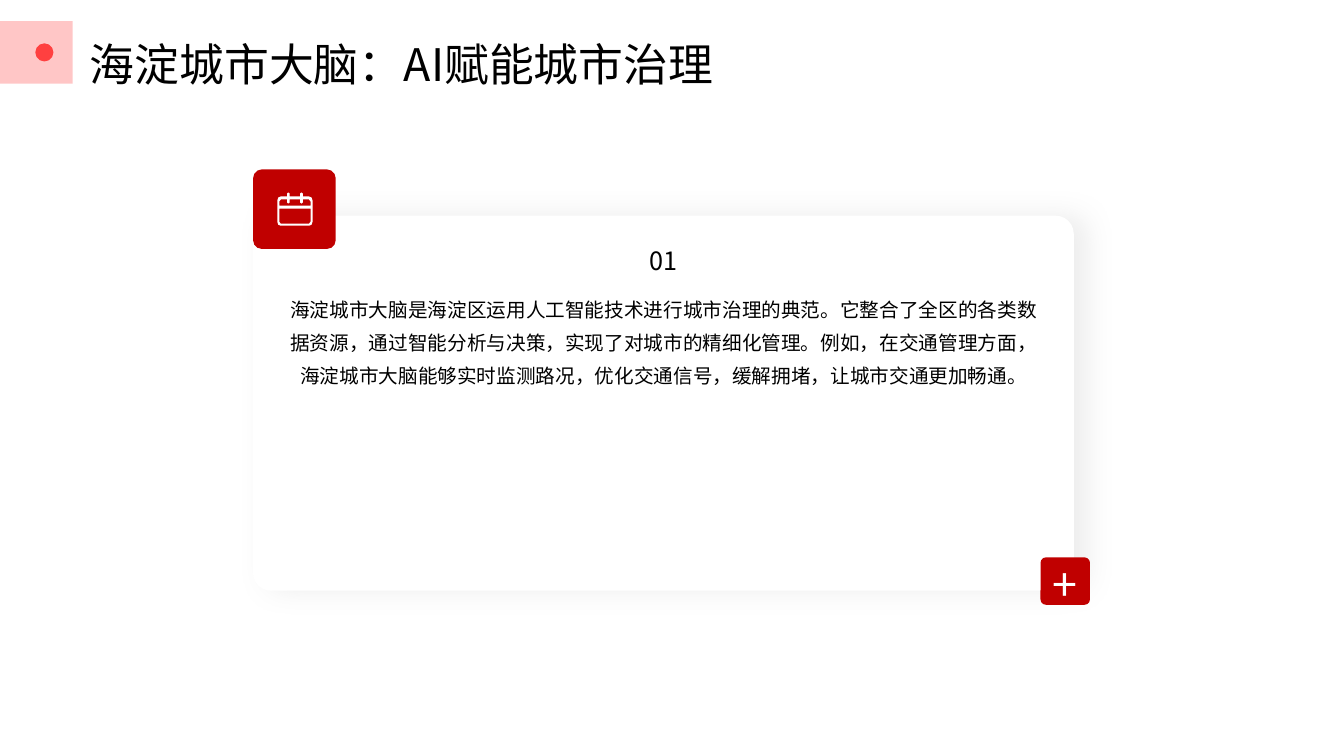
"""Build a slide about the Haidian city brain with one shadowed card."""
from dataclasses import dataclass
from typing import Optional

from lxml import etree
from pptx import Presentation
from pptx import util as u
from pptx.dml.color import RGBColor
from pptx.enum import shapes, text
from pptx.oxml import ns

FONT = "Noto Sans CJK SC"
COLORS = {
    "white": "FFFFFF",
    "black": "000000",
    "red": "C00000",
    "pink": "FFB3B3",
    "dot": "FF4040",
    "shadow": "A6A6A6",
}
CALENDAR_CENTER = 2.925 * 100
CALENDAR_RIGHT_HALVES = [
    [(5.2, 195), (5.2, 192), (6.5, 191), (7.8, 192), (7.8, 195), (14, 195),
     (16.5, 196), (17.5, 199), (17.5, 220), (16.5, 223), (14, 224)],
    [(5.2, 198), (5.2, 201), (6.5, 202), (7.8, 201), (7.8, 198), (14, 198),
     (15.5, 200), (15.5, 204)],
    [(15.5, 207), (15.5, 220), (14, 222)],
]


@dataclass
class Box:
    left: float
    top: float
    width: float
    height: float

    def lengths(self) -> list:
        return [u.Inches(v) for v in (self.left, self.top, self.width, self.height)]


@dataclass
class Block:
    kind: shapes.MSO_SHAPE
    box: Box
    color: str
    radius: Optional[float] = None
    opacity: int = 100


@dataclass
class Label:
    box: Box
    words: str
    size: int
    spacing: float
    align: text.PP_ALIGN = text.PP_ALIGN.CENTER
    anchor: text.MSO_ANCHOR = text.MSO_ANCHOR.MIDDLE


ROUNDED = shapes.MSO_SHAPE.ROUNDED_RECTANGLE
CARD = Block(ROUNDED, Box(2.51, 2.14, 8.14, 3.72), "white", 0.048)
ICON_TILE = Block(ROUNDED, Box(2.51, 1.68, 0.82, 0.79), "red", 0.113)
PLUS_TILE = Block(ROUNDED, Box(10.32, 5.53, 0.49, 0.47), "red", 0.113)
TITLE_MARKS = [
    Block(shapes.MSO_SHAPE.RECTANGLE, Box(0, 0.21, 0.72, 0.62), "pink", opacity=75),
    Block(shapes.MSO_SHAPE.OVAL, Box(0.35, 0.43, 0.18, 0.18), "dot"),
]
LABELS = [
    Label(Box(2.83, 2.86, 7.51, 2.57),
          "海淀城市大脑是海淀区运用人工智能技术进行城市治理的典范。它整合了全区的各类数据资源，"
          "通过智能分析与决策，实现了对城市的精细化管理。例如，在交通管理方面，"
          "海淀城市大脑能够实时监测路况，优化交通信号，缓解拥堵，让城市交通更加畅通。",
          14, 1.4, anchor=text.MSO_ANCHOR.TOP),
    Label(Box(2.83, 2.3, 7.51, 0.54), "01", 18, 1.1),
    Label(Box(0.89, 0.26, 8.51, 0.47), "海淀城市大脑：AI赋能城市治理", 32, 1.5,
          align=text.PP_ALIGN.LEFT),
]


def paint(shape, color: str) -> None:
    shape.shadow.inherit = False
    shape.fill.solid()
    shape.fill.fore_color.rgb = RGBColor.from_string(COLORS[color])
    shape.line.fill.background()


def set_alpha(color_element, percent: int) -> None:
    etree.SubElement(color_element, ns.qn("a:alpha"), val=str(percent * 1000))


def add_block(slide, block: Block):
    shape = slide.shapes.add_shape(block.kind, *block.box.lengths())
    paint(shape, block.color)
    if block.radius is not None:
        shape.adjustments[0] = block.radius
    if block.opacity < 100:
        set_alpha(shape.fill._xPr.find(".//" + ns.qn("a:srgbClr")), block.opacity)
    return shape


def cast_shadow(shape) -> None:
    effects = shape._element.spPr.find(ns.qn("a:effectLst"))
    shadow = etree.SubElement(
        effects, ns.qn("a:outerShdw"), blurRad=str(u.Pt(20)), dist=str(u.Pt(10)),
        dir="0", algn="ctr", rotWithShape="0")
    color = etree.SubElement(shadow, ns.qn("a:srgbClr"), val=COLORS["shadow"])
    set_alpha(color, 20)


def write(frame, words: str, size: int, spacing: float, color: str,
          align: text.PP_ALIGN) -> None:
    paragraph = frame.paragraphs[0]
    paragraph.alignment = align
    paragraph.line_spacing = spacing
    run = paragraph.add_run()
    run.text = words
    run.font.size = u.Pt(size)
    run.font.name = FONT
    run.font.color.rgb = RGBColor.from_string(COLORS[color])
    properties = run.font._element
    etree.SubElement(properties, ns.qn("a:ea"), typeface=FONT)


def add_label(slide, label: Label) -> None:
    frame = slide.shapes.add_textbox(*label.box.lengths()).text_frame
    frame.word_wrap = True
    frame.vertical_anchor = label.anchor
    frame.margin_left = frame.margin_right = 0
    frame.margin_top = frame.margin_bottom = 0
    write(frame, label.words, label.size, label.spacing, "black", label.align)


def add_calendar(slide) -> None:
    builder = None
    for half in CALENDAR_RIGHT_HALVES:
        outline = half + [(-x, y) for x, y in reversed(half)]
        points = [(u.Inches((CALENDAR_CENTER + x) / 100), u.Inches(y / 100))
                  for x, y in outline]
        if builder is None:
            builder = slide.shapes.build_freeform(*points[0])
        else:
            builder.move_to(*points[0])
        builder.add_line_segments(points[1:], close=True)
    paint(builder.convert_to_shape(), "white")


def main() -> None:
    presentation = Presentation()
    presentation.slide_width = u.Inches(13.33)
    presentation.slide_height = u.Inches(7.5)
    slide = presentation.slides.add_slide(presentation.slide_layouts[6])

    cast_shadow(add_block(slide, CARD))
    add_block(slide, ICON_TILE)
    plus = add_block(slide, PLUS_TILE).text_frame
    plus.vertical_anchor = text.MSO_ANCHOR.MIDDLE
    write(plus, "+", 32, 1.1, "white", text.PP_ALIGN.CENTER)
    add_calendar(slide)
    for label in LABELS:
        add_label(slide, label)
    for mark in TITLE_MARKS:
        add_block(slide, mark)

    presentation.save("out.pptx")


if __name__ == "__main__":
    main()
